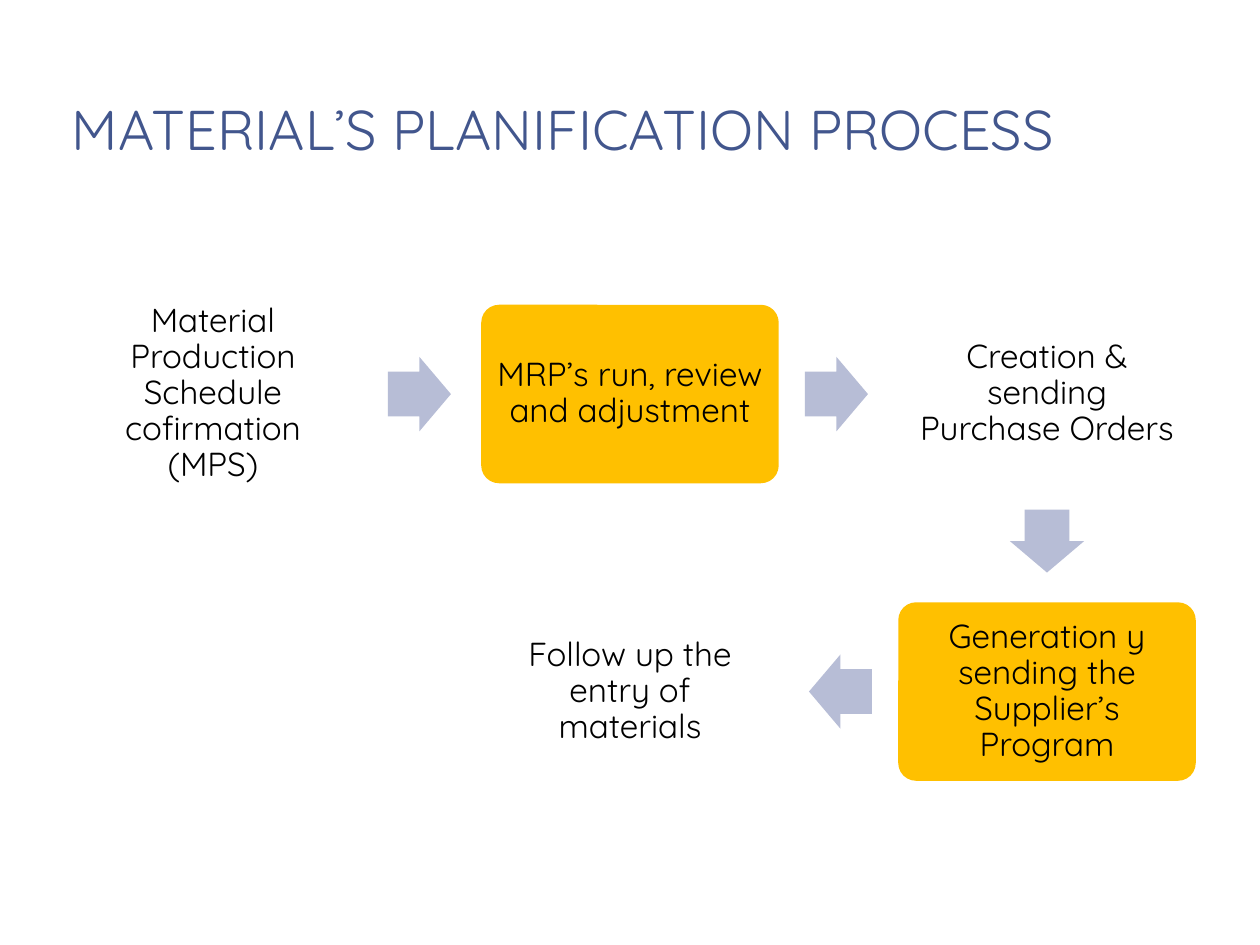
from pptx import Presentation
from pptx.dml.color import RGBColor
from pptx.enum.shapes import MSO_SHAPE
from pptx.enum.text import MSO_ANCHOR, PP_ALIGN
from pptx.util import Pt

COLORS = {
    "title": "42568D",
    "text": "000000",
    "plain": "FFFFFF",
    "highlight": "FFC000",
    "arrow": "B7BDD6",
}
FONT = "Quicksand"

LEFT, TOP = 36.7, 174.2
COLUMN_STEP, ROW_STEP = 238.3, 170
BOX_WIDTH, BOX_HEIGHT = 170, 102
ARROW_LENGTH, ARROW_BREADTH, ARROW_GAP = 36, 42.5, 15

# text, column, row, colour, direction of the arrow to the next step
STEPS = [
    ("Material Production Schedule cofirmation (MPS)", 0, 0, "plain", "right"),
    ("MRP’s run, review and adjustment", 1, 0, "highlight", "right"),
    ("Creation & sending Purchase Orders", 2, 0, "plain", "down"),
    ("Generation y sending the Supplier’s Program", 2, 1, "highlight", "left"),
    ("Follow up the entry of materials", 1, 1, "plain", None),
]
DIRECTIONS = {
    "right": (MSO_SHAPE.RIGHT_ARROW, 1, 0),
    "down": (MSO_SHAPE.DOWN_ARROW, 0, 1),
    "left": (MSO_SHAPE.LEFT_ARROW, -1, 0),
}


class ProcessSlide:
    """Holds the style and the slide being drawn; lengths are in points."""

    def __init__(self, page):
        self.page = page

    def set_text(self, shape, text, size, color):
        frame = shape.text_frame
        frame.word_wrap = True
        frame.vertical_anchor = MSO_ANCHOR.MIDDLE
        paragraph = frame.paragraphs[0]
        paragraph.text = text
        paragraph.font.name = FONT
        paragraph.font.size = Pt(size)
        paragraph.font.color.rgb = RGBColor.from_string(COLORS[color])
        return paragraph

    def shape(self, kind, left, top, width, height, color):
        shape = self.page.shapes.add_shape(
            kind, Pt(left), Pt(top), Pt(width), Pt(height))
        shape.shadow.inherit = False
        shape.fill.solid()
        shape.fill.fore_color.rgb = RGBColor.from_string(COLORS[color])
        shape.line.fill.background()
        return shape

    def title(self, text, left, top, width, height):
        box = self.page.shapes.add_textbox(
            Pt(left), Pt(top), Pt(width), Pt(height))
        self.set_text(box, text, 32, "title")

    def step(self, text, left, top, color):
        box = self.shape(MSO_SHAPE.ROUNDED_RECTANGLE, left, top,
                         BOX_WIDTH, BOX_HEIGHT, color)
        box.adjustments[0] = 0.1
        frame = box.text_frame
        frame.margin_left = frame.margin_right = Pt(5.7)
        frame.margin_top = frame.margin_bottom = Pt(5.7)
        paragraph = self.set_text(box, text, 19, "text")
        paragraph.alignment = PP_ALIGN.CENTER
        paragraph.line_spacing = 0.9

    def arrow(self, left, top, direction):
        """Draw the arrow that leaves the step box at left, top."""
        kind, across, down = DIRECTIONS[direction]
        reach = ARROW_GAP + ARROW_LENGTH / 2
        center_x = left + BOX_WIDTH / 2 + across * (BOX_WIDTH / 2 + reach)
        center_y = top + BOX_HEIGHT / 2 + down * (BOX_HEIGHT / 2 + reach)
        width, height = ARROW_LENGTH, ARROW_BREADTH
        if down:
            width, height = height, width
        arrow = self.shape(kind, center_x - width / 2, center_y - height / 2,
                           width, height, "arrow")
        arrow.adjustments[0] = 0.6
        arrow.adjustments[1] = 0.5


def main():
    deck = Presentation()
    deck.slide_width, deck.slide_height = Pt(720), Pt(540)
    slide = ProcessSlide(deck.slides.add_slide(deck.slide_layouts[6]))
    slide.title("MATERIAL’S PLANIFICATION PROCESS", 34, 32.4, 650, 82)
    for text, column, row, color, direction in STEPS:
        left = LEFT + column * COLUMN_STEP
        top = TOP + row * ROW_STEP
        slide.step(text, left, top, color)
        if direction:
            slide.arrow(left, top, direction)
    deck.save("out.pptx")


if __name__ == "__main__":
    main()
